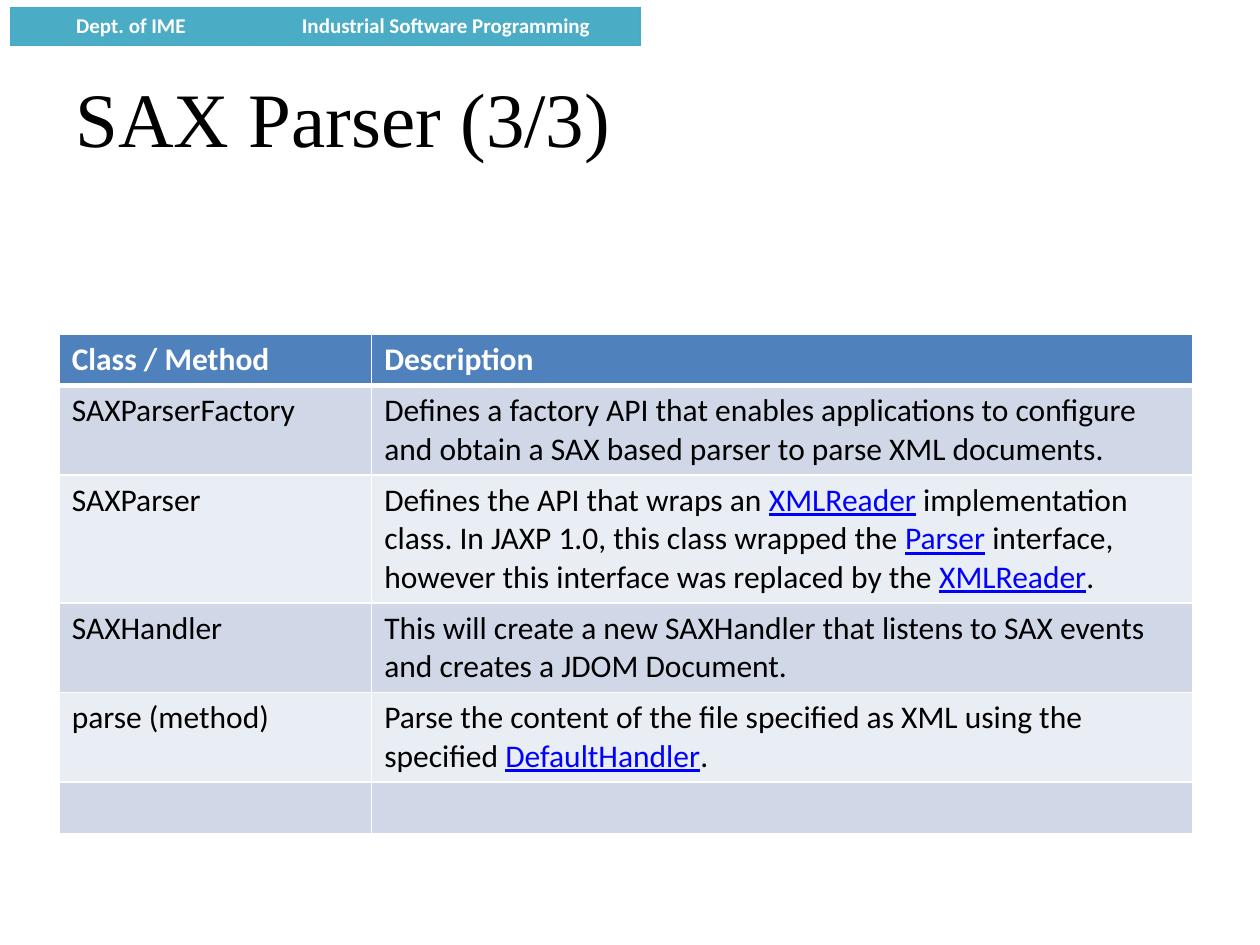
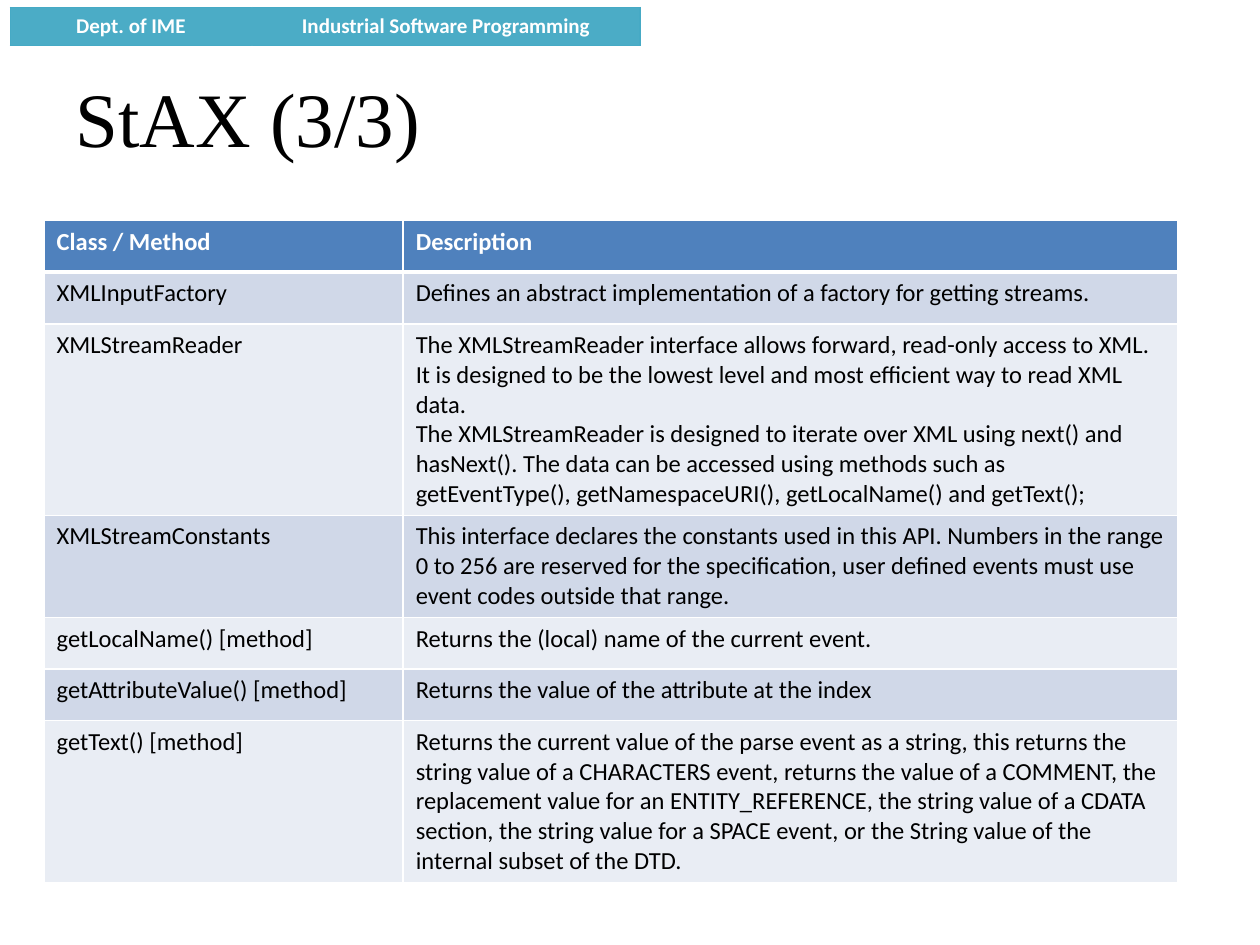
from pptx import Presentation
from pptx.dml.color import RGBColor
from pptx.enum.text import MSO_ANCHOR, PP_ALIGN
from pptx.oxml import parse_xml
from pptx.oxml.ns import nsdecls
from pptx.util import Inches, Pt

WHITE = RGBColor(0xFF, 0xFF, 0xFF)
BLACK = RGBColor(0x00, 0x00, 0x00)
LINK_BLUE = RGBColor(0x00, 0x00, 0xFF)
BAND_FILL = RGBColor(0x4B, 0xAC, 0xC6)
BAND_LINE = RGBColor(0x46, 0xAA, 0xC5)
HEADER_FILL = RGBColor(0x4F, 0x81, 0xBD)
ROW_FILLS = (RGBColor(0xD0, 0xD8, 0xE8), RGBColor(0xE9, 0xED, 0xF4))

TITLE_TEXT = {"name": "Times New Roman", "size": Pt(44), "bold": False}
BAND_TEXT = {"name": "Calibri", "size": Pt(12), "bold": True}
ROW_HEIGHT = 0.41
HEADINGS = ("Class / Method", "Description")

SAX_ROWS = (
    ("SAXParserFactory",
     "Defines a factory API that enables applications to configure and obtain "
     "a SAX based parser to parse XML documents."),
    ("SAXParser",
     "Defines the API that wraps an\u00a0|XMLReader|\u00a0implementation class. "
     "In JAXP 1.0, this class wrapped the\u00a0|Parser|\u00a0interface, however "
     "this interface was replaced by the\u00a0|XMLReader|.\u00a0"),
    ("SAXHandler",
     "This will create a new\u00a0SAXHandler\u00a0that listens to SAX events "
     "and creates a JDOM Document."),
    ("parse (method)",
     "Parse the content of the file specified as XML using the "
     "specified\u00a0|DefaultHandler|."),
    ("", ""),
)

STAX_ROWS = (
    ("XMLInputFactory",
     "Defines an abstract implementation of a factory for getting streams.\u00a0"),
    ("XMLStreamReader",
     "The XMLStreamReader interface allows forward, read-only access to XML. "
     "It is designed to be the lowest level and most efficient way to read XML data.\n"
     "The XMLStreamReader is designed to iterate over XML using next() and hasNext(). "
     "The data can be accessed using methods such as getEventType(), "
     "getNamespaceURI(), getLocalName() and getText();"),
    ("XMLStreamConstants",
     "This interface declares the constants used in this API. Numbers in the range "
     "0 to 256 are reserved for the specification, user defined events must use "
     "event codes outside that range."),
    ("getLocalName() [method]", "Returns the (local) name of the current event."),
    ("getAttributeValue() [method]", "Returns the value of the attribute at the index"),
    ("getText() [method]",
     "Returns the current value of the parse event as a string, this returns the "
     "string value of a CHARACTERS event, returns the value of a COMMENT, the "
     "replacement value for an ENTITY_REFERENCE, the string value of a CDATA section, "
     "the string value for a SPACE event, or the String value of the internal subset "
     "of the DTD."),
)


class Deck:
    def __init__(self):
        self.presentation = Presentation()
        self.presentation.slide_width = Inches(10)
        self.presentation.slide_height = Inches(7.5)
        self.slide = None

    def add_slide(self, title):
        layout = self.presentation.slide_layouts.get_by_name("Title Only")
        self.slide = self.presentation.slides.add_slide(layout)
        self.add_band()
        self.add_title(title)

    def format_font(self, font, style, color):
        for name, value in style.items():
            setattr(font, name, value)
        font.color.rgb = color

    def add_title(self, text):
        title = self.slide.shapes.title
        place = {"left": 0.5, "top": 0.3, "width": 9, "height": 1.25}
        for name, value in place.items():
            setattr(title, name, Inches(value))
        title.text_frame.text = text
        title.text_frame.vertical_anchor = MSO_ANCHOR.MIDDLE
        paragraph = title.text_frame.paragraphs[0]
        paragraph.alignment = PP_ALIGN.LEFT
        self.format_font(paragraph.runs[0].font, TITLE_TEXT, BLACK)

    def add_table(self, left, top, widths, row_count, row_height):
        frame = self.slide.shapes.add_table(
            row_count, len(widths), Inches(left), Inches(top),
            Inches(sum(widths)), Inches(row_height * row_count))
        table = frame.table
        table.first_row = False
        table.horz_banding = False
        for column, width in zip(table.columns, widths):
            column.width = Inches(width)
        return table

    def set_borders(self, cell, borders):
        properties = cell._tc.get_or_add_tcPr()
        for side in "LRTB":
            if side in borders:
                color, width = borders[side]
                properties.append(parse_xml(
                    f'<a:ln{side} {nsdecls("a")} w="{Pt(width)}"><a:solidFill>'
                    f'<a:srgbClr val="{color}"/></a:solidFill></a:ln{side}>'))

    def fill_cell(self, cell, text, fill, borders, style, color, alignment=PP_ALIGN.LEFT):
        self.set_borders(cell, borders)
        cell.fill.solid()
        cell.fill.fore_color.rgb = fill
        frame = cell.text_frame
        for index, line in enumerate(text.split("\n")):
            paragraph = frame.add_paragraph() if index else frame.paragraphs[0]
            paragraph.alignment = alignment
            self.format_font(paragraph.font, style, color)
            for position, part in enumerate(line.split("|")):
                if part:
                    linked = position % 2 == 1
                    run = paragraph.add_run()
                    run.text = part
                    self.format_font(run.font, style, LINK_BLUE if linked else color)
                    if linked:
                        run.font.underline = True

    def add_band(self):
        table = self.add_table(0.08, 0.06, (1.92, 3.08), 1, 0.3)
        labels = ("Dept. of IME", "Industrial Software Programming")
        for cell, label, sides in zip(table.rows[0].cells, labels, ("LTB", "RTB")):
            borders = {side: (BAND_LINE, 0.75) for side in sides}
            inner = "R" if "L" in sides else "L"
            borders[inner] = (BAND_FILL, 0.75)
            self.fill_cell(cell, label, BAND_FILL, borders, BAND_TEXT, WHITE,
                           PP_ALIGN.CENTER)

    def add_method_table(self, left, top, widths, rows, size):
        table = self.add_table(left, top, widths, len(rows) + 1, ROW_HEIGHT)
        for row_index, texts in enumerate((HEADINGS, *rows)):
            header = row_index == 0
            fill = HEADER_FILL if header else ROW_FILLS[(row_index - 1) % 2]
            borders = {side: (WHITE, 1) for side in "LRTB"}
            if header:
                borders["B"] = (WHITE, 3)
            elif row_index == 1:
                borders["T"] = (WHITE, 3)
            style = {"name": "Calibri", "size": Pt(size), "bold": header}
            for cell, text in zip(table.rows[row_index].cells, texts):
                self.fill_cell(cell, text, fill, borders, style,
                               WHITE if header else BLACK)


deck = Deck()
deck.add_slide("SAX Parser (3/3)")
deck.add_method_table(0.47, 2.65, (2.48, 6.52), SAX_ROWS, 18)
deck.add_slide("StAX (3/3)")
deck.add_method_table(0.35, 1.75, (2.85, 6.15), STAX_ROWS, 14)
deck.presentation.save("out.pptx")
